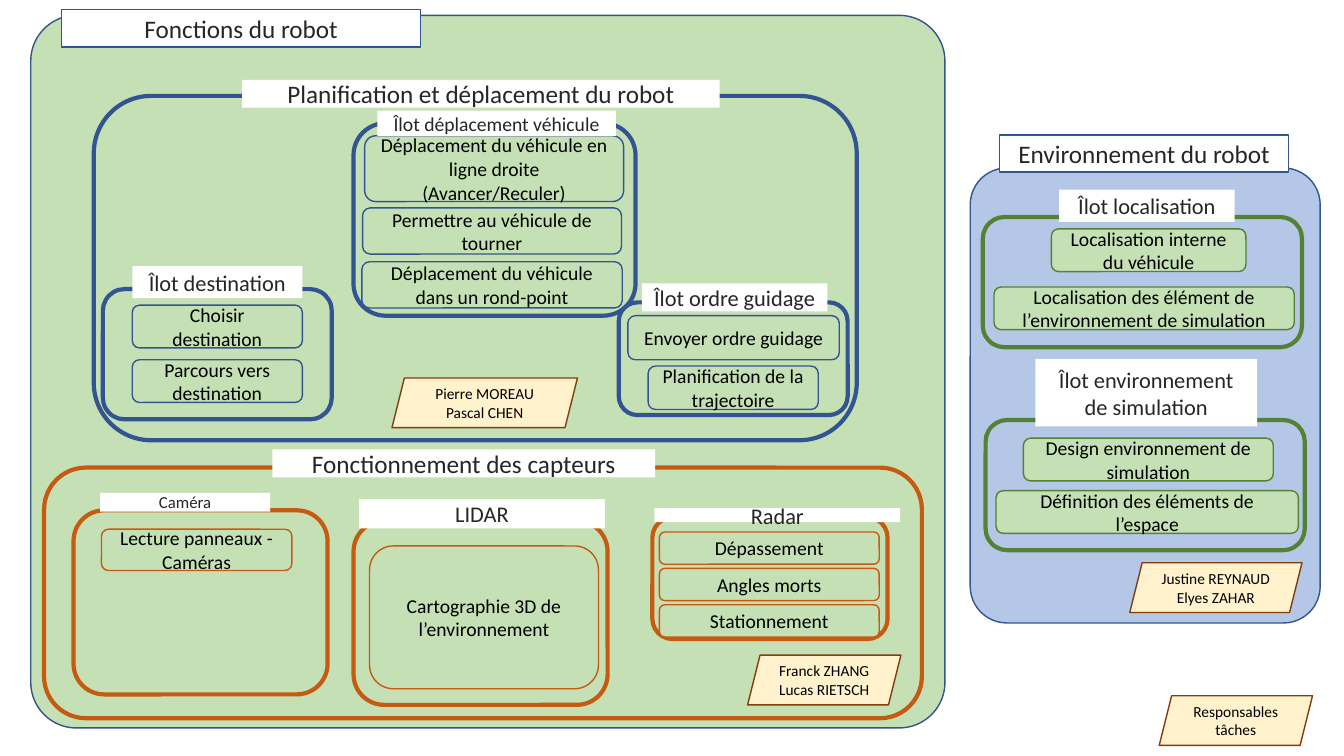
from dataclasses import dataclass
from pptx import Presentation
from pptx.dml.color import RGBColor
from pptx.enum.shapes import MSO_SHAPE as Kind
from pptx.enum.text import MSO_ANCHOR as Anchor, PP_ALIGN as Align
from pptx.util import Pt


@dataclass(frozen=True)
class Theme:
    font: str = "Calibri"
    blue: str = "325491"
    orange: str = "C55A11"
    green: str = "548235"
    brown: str = "843C0B"
    mint: str = "C5E0B4"
    sky: str = "B4C7E7"
    cream: str = "FFF2CC"
    white: str = "FFFFFF"
    ink: str = "262626"
    black: str = "000000"
    thin: float = 1
    thick: float = 3
    head: int = 18
    tag: int = 16
    body: int = 14
    small: int = 12
    note: int = 11


look = Theme()


def draw(slide, kind, place, fill=None, line=None, width=look.thin, adj=None):
    shape = slide.shapes.add_shape(kind, *map(Pt, place))
    shape.shadow.inherit = False
    if fill:
        shape.fill.solid()
        shape.fill.fore_color.rgb = RGBColor.from_string(fill)
    else:
        shape.fill.background()
    if line:
        shape.line.color.rgb = RGBColor.from_string(line)
        shape.line.width = Pt(width)
    else:
        shape.line.fill.background()
    if adj:
        shape.adjustments[0] = adj
    return shape


def write(shape, text, size, color=look.black):
    frame = shape.text_frame
    frame.word_wrap = True
    frame.vertical_anchor = Anchor.MIDDLE
    frame.text = text
    for para in frame.paragraphs:
        para.alignment = Align.CENTER
        para.font.name = look.font
        para.font.size = Pt(size)
        para.font.color.rgb = RGBColor.from_string(color)


def panel(slide, place, fill, adj, title, spot):
    draw(slide, Kind.ROUNDED_RECTANGLE, place, fill, look.blue, adj=adj)
    label(slide, title, spot, look.head, look.blue)


def label(slide, text, place, size, line=None):
    shape = draw(slide, Kind.RECTANGLE, place, look.white, line)
    write(shape, text, size, look.ink)


def task(slide, text, place, line):
    shape = draw(slide, Kind.ROUNDED_RECTANGLE, place, look.mint, line)
    write(shape, text, look.body)


def group(slide, line, place, title, spot, size=look.tag, tasks=()):
    draw(slide, Kind.ROUNDED_RECTANGLE, place, line=line, width=look.thick)
    for text, *box in tasks:
        task(slide, text, box, line)
    label(slide, title, spot, size)


def note(slide, text, place):
    shape = draw(slide, Kind.PARALLELOGRAM, place, look.cream, look.brown)
    write(shape, text, look.note)


def stack(names, left, top, width, height, step):
    return [(name, left, top + row * step, width, height)
            for row, name in enumerate(names)]


def plan(slide):
    group(slide, look.blue, (67, 68.5, 545, 246),
          "Planification et déplacement du robot", (173, 57, 341, 20), look.head)
    group(slide, look.blue, (73.5, 206.5, 163.5, 93),
          "Îlot destination", (94.5, 190, 121.5, 23),
          tasks=stack(("Choisir destination", "Parcours vers destination"),
                      94.5, 218, 121.5, 30.5, 39))
    group(slide, look.blue, (442, 216, 163.5, 80.5),
          "Îlot ordre guidage", (458.5, 202.5, 132.5, 20),
          tasks=[("Envoyer ordre guidage", 448.5, 225.5, 151, 31.5),
                 ("Planification de la trajectoire", 463, 261.5, 121.5, 31)])
    group(slide, look.blue, (252.5, 88, 201.5, 137.5),
          "Îlot déplacement véhicule", (269.5, 79, 170.5, 18), look.body,
          [("Déplacement du véhicule en ligne droite (Avancer/Reculer)",
            260.5, 97, 185, 47),
           ("Permettre au véhicule de tourner", 259, 148.5, 185, 33),
           ("Déplacement du véhicule dans un rond-point", 258.5, 187, 186, 33)])


def sensors(slide):
    group(slide, look.orange, (31.5, 334, 627, 179),
          "Fonctionnement des capteurs", (194.5, 321, 273.5, 20), look.head)
    group(slide, look.orange, (52.5, 364.5, 181.5, 131.5),
          "Caméra", (71.5, 352, 121.5, 13.5), look.small,
          [("Lecture panneaux - Caméras", 72.5, 378, 136, 29.5)])
    group(slide, look.orange, (252.5, 372, 181.5, 131.5),
          "LIDAR", (256.5, 356.5, 175.5, 21),
          tasks=[("Cartographie 3D de l’environnement", 264, 390, 163.5, 102)])
    group(slide, look.orange, (466, 369.5, 168, 87),
          "Radar", (467.5, 363, 175.5, 10),
          tasks=stack(("Dépassement", "Angles morts", "Stationnement"),
                      471, 380, 157, 23, 26))


def world(slide):
    group(slide, look.green, (702, 155, 228, 93),
          "Îlot localisation", (756.5, 135.5, 125.5, 23),
          tasks=[("Localisation interne du véhicule", 751, 163.5, 139, 30.5),
                 ("Localisation des élément de l’environnement de simulation",
                  710, 205, 214.5, 30.5)])
    group(slide, look.green, (704, 300, 228, 93),
          "Îlot environnement de simulation", (739.5, 256.5, 158.5, 48),
          tasks=[("Design environnement de simulation", 731, 313, 178.5, 30.5),
                 ("Définition des éléments de l’espace", 711.5, 350.5, 216, 30.5)])


def main():
    deck = Presentation()
    deck.slide_width, deck.slide_height = Pt(960), Pt(540)
    slide = deck.slides.add_slide(deck.slide_layouts.get_by_name("Blank"))
    panel(slide, (22, 11, 653, 509), look.mint, 0.064,
          "Fonctions du robot", (44, 7, 256.5, 26.5))
    panel(slide, (693, 120, 250, 325), look.sky, 0.105,
          "Environnement du robot", (714, 96.5, 206.5, 26.5))
    plan(slide)
    sensors(slide)
    world(slide)
    for text, left, top, width in (
            ("Responsables tâches", 828, 497, 109.5),
            ("Justine REYNAUD\nElyes ZAHAR", 807, 402, 123),
            ("Pierre MOREAU\nPascal CHEN", 280, 270, 132.5),
            ("Franck ZHANG\nLucas RIETSCH", 534, 468, 109.5)):
        note(slide, text, (left, top, width, 35.5))
    deck.save("out.pptx")


if __name__ == "__main__":
    main()
